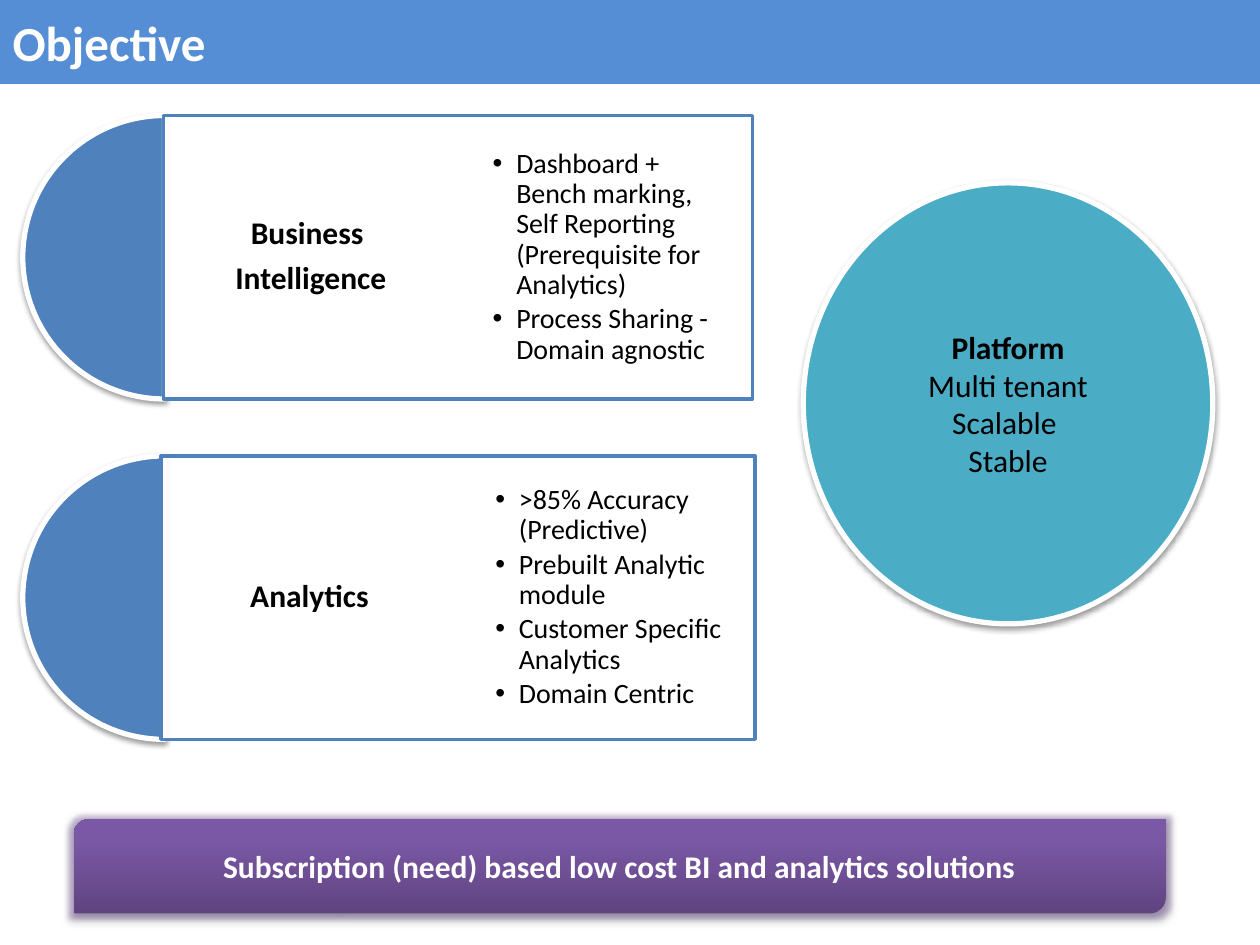
from copy import deepcopy
from dataclasses import dataclass

from pptx import Presentation
from pptx.dml.color import RGBColor
from pptx.enum.shapes import MSO_SHAPE
from pptx.enum.text import MSO_ANCHOR, MSO_AUTO_SIZE, PP_ALIGN
from pptx.oxml import parse_xml
from pptx.oxml.ns import nsdecls, qn
from pptx.shapes.autoshape import Shape
from pptx.slide import Slide
from pptx.util import Pt

WHITE = RGBColor(0xFF, 0xFF, 0xFF)
BLACK = RGBColor(0x00, 0x00, 0x00)
SKY = RGBColor(0x55, 0x8E, 0xD5)
BLUE = RGBColor(0x4F, 0x81, 0xBD)
TEAL = RGBColor(0x4B, 0xAC, 0xC6)
PLUM = RGBColor(0x80, 0x64, 0xA2)
SHADES = ((0, RGBColor(0x5F, 0x44, 0x80)),
          (0.8, RGBColor(0x7B, 0x58, 0xA6)),
          (1, RGBColor(0x7C, 0x57, 0xA8)))
FONT = "Calibri"
SIDE = 162  # height of a card and diameter of its half disc


@dataclass
class Card:
    top: float
    left: float
    width: float
    list_left: float
    label: str
    items: str
    slot: int  # body placeholder index


CARDS = (
    Card(260.5, 92, 339.5, 263.5, "Analytics",
         ">85% Accuracy (Predictive)\nPrebuilt Analytic module\n"
         "Customer Specific Analytics\nDomain Centric", 2),
    Card(66, 93.5, 336.5, 262, "Business \nIntelligence",
         "Dashboard + Bench marking, Self Reporting (Prerequisite for Analytics)\n"
         "Process Sharing -  Domain agnostic", 1),
)


def place(shape: Shape, left: float, top: float, width: float, height: float) -> None:
    shape.left, shape.top = Pt(left), Pt(top)
    shape.width, shape.height = Pt(width), Pt(height)


def add_form(slide: Slide, kind: MSO_SHAPE, box: tuple, fill: RGBColor | None = None,
             line: RGBColor | None = None, weight: float = 3) -> Shape:
    shape = slide.shapes.add_shape(kind, *map(Pt, box))
    shape.shadow.inherit = False
    if fill is not None:
        shape.fill.solid()
        shape.fill.fore_color.rgb = fill
    if line is None:
        shape.line.fill.background()
    else:
        shape.line.color.rgb = line
        shape.line.width = Pt(weight)
    return shape


def write(shape: Shape, text: str, size: float, color: RGBColor, bold: bool = False,
          align: PP_ALIGN = PP_ALIGN.CENTER, inset: float | None = None,
          spacing: float = 1, after: float = 0) -> None:
    frame = shape.text_frame
    frame.text = text
    frame.word_wrap = True
    frame.auto_size = MSO_AUTO_SIZE.NONE
    frame.vertical_anchor = MSO_ANCHOR.MIDDLE
    if inset is not None:
        frame.margin_left = frame.margin_right = Pt(inset)
        frame.margin_top = frame.margin_bottom = Pt(inset)
    for para in frame.paragraphs:
        para.alignment = align
        para.line_spacing = spacing
        para.space_before, para.space_after = Pt(0), Pt(after)
        for run in para.runs:
            run.font.name, run.font.size = FONT, Pt(size)
            run.font.bold, run.font.color.rgb = bold, color


def add_shadow(shape: Shape, alpha: int, dist: float) -> None:
    effects = shape._element.spPr.find(qn("a:effectLst"))
    effects.append(parse_xml(
        f'<a:outerShdw {nsdecls("a")} blurRad="{Pt(3.1)}" dist="{Pt(dist)}" '
        f'dir="5400000" rotWithShape="0"><a:srgbClr val="{BLACK}">'
        f'<a:alpha val="{alpha * 1000}"/></a:srgbClr></a:outerShdw>'))


def add_glow(shape: Shape) -> None:
    effects = shape._element.spPr.find(qn("a:effectLst"))
    effects.insert(0, parse_xml(
        f'<a:glow {nsdecls("a")} rad="{Pt(5)}"><a:srgbClr val="{PLUM}">'
        f'<a:alpha val="40000"/></a:srgbClr></a:glow>'))


def shade(shape: Shape) -> None:
    """Fill with the vertical gradient, darkest at the bottom."""
    shape.fill.gradient()
    shape.fill.gradient_angle = 90
    stops = shape._element.spPr.find(".//" + qn("a:gsLst"))
    stops.append(deepcopy(stops[-1]))
    for stop, (pos, color) in zip(shape.fill.gradient_stops, SHADES):
        stop.position, stop.color.rgb = pos, color


def add_card(slide: Slide, card: Card) -> None:
    half = card.width / 2
    disc = add_form(slide, MSO_SHAPE.PIE, (13, card.top, SIDE, SIDE), BLUE, WHITE)
    disc.adjustments[0], disc.adjustments[1] = 54, 162
    add_shadow(disc, 38, 1.6)

    panel = add_form(slide, MSO_SHAPE.RECTANGLE,
                     (card.left, card.top, card.width, SIDE), WHITE, BLUE, 2)
    color = panel._element.spPr.find(qn("a:solidFill"))[0]
    color.append(parse_xml(f'<a:alpha {nsdecls("a")} val="90000"/>'))

    label = slide.shapes.add_textbox(*map(Pt, (card.left, card.top, half, SIDE)))
    write(label, card.label, 18, BLACK, True, inset=5, spacing=0.9, after=6.3)

    body = slide.placeholders[card.slot]
    place(body, card.list_left, card.top, half, SIDE)
    write(body, card.items, 16, BLACK, align=PP_ALIGN.LEFT, inset=19.5,
          spacing=0.9, after=2.4)
    for para in body.text_frame.paragraphs:
        props = para._p.get_or_add_pPr()
        props.set("marL", str(Pt(13.5)))
        props.set("indent", str(Pt(-13.5)))
    slide.shapes._spTree.append(body._element)  # in front of the panel


def main() -> None:
    deck = Presentation()
    deck.slide_width, deck.slide_height = Pt(720), Pt(540)
    slide = deck.slides.add_slide(deck.slide_layouts.get_by_name("Two Content"))

    title = slide.shapes.title
    place(title, 0, 0, 720, 48)
    title.fill.solid()
    title.fill.fore_color.rgb = SKY
    write(title, "Objective", 28, WHITE, True, PP_ALIGN.LEFT)

    for card in CARDS:
        add_card(slide, card)

    disc = add_form(slide, MSO_SHAPE.OVAL, (459, 104.5, 234, 252), TEAL, WHITE)
    add_shadow(disc, 38, 1.6)
    write(disc, "Platform\nMulti tenant\nScalable \nStable", 18, BLACK)
    disc.text_frame.paragraphs[0].runs[0].font.bold = True

    band = add_form(slide, MSO_SHAPE.ROUND_2_DIAG_RECTANGLE, (42, 468, 624, 54))
    shade(band)
    add_shadow(band, 35, 1.8)
    add_glow(band)
    write(band, "Subscription (need) based low cost BI and analytics solutions",
          18, WHITE, True)

    deck.save("out.pptx")


if __name__ == "__main__":
    main()
